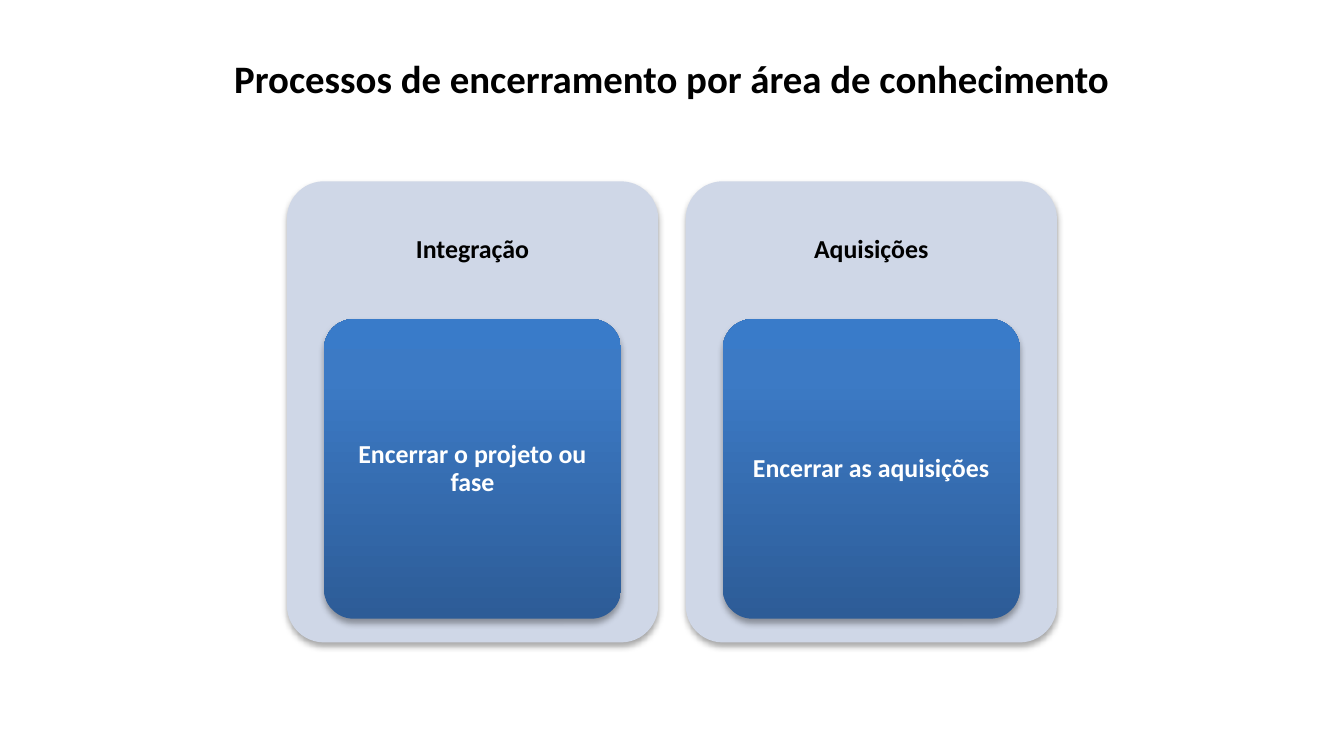
from copy import deepcopy

from lxml.etree import SubElement
from pptx import Presentation
from pptx.dml.color import RGBColor
from pptx.enum.shapes import MSO_SHAPE
from pptx.enum.text import MSO_ANCHOR, PP_ALIGN
from pptx.oxml.ns import qn
from pptx.util import Pt

BLACK = RGBColor(0x00, 0x00, 0x00)
WHITE = RGBColor(0xFF, 0xFF, 0xFF)
PANEL_BLUE = RGBColor(0xCF, 0xD7, 0xE7)
PROCESS_STOPS = [
    (0, RGBColor(0x2D, 0x5C, 0x97)),
    (0.8, RGBColor(0x3C, 0x7A, 0xC5)),
    (1, RGBColor(0x39, 0x7B, 0xC9)),
]

SLIDE_WIDTH, SLIDE_HEIGHT = 622.8, 337.68
PANEL_LEFT, PANEL_TOP, PANEL_WIDTH, PANEL_HEIGHT = 133, 84, 172, 213.6
PANEL_STEP = 184.8
HEADING_HEIGHT = 64
PROCESS_TOP, PROCESS_WIDTH, PROCESS_HEIGHT = 147.8, 137.6, 138.8
PROCESS_INDENT = (PANEL_WIDTH - PROCESS_WIDTH) / 2

AREAS = [
    ("Integração", "Encerrar o projeto ou fase"),
    ("Aquisições", "Encerrar as aquisições"),
]


def write(text, holder, size=12, color=BLACK, margins=(3.6, 3.6),
          anchor=MSO_ANCHOR.MIDDLE, spacing=0.9):
    frame = holder.text_frame
    frame.word_wrap = True
    frame.vertical_anchor = anchor
    frame.margin_left = frame.margin_right = Pt(margins[0])
    frame.margin_top = frame.margin_bottom = Pt(margins[1])
    paragraph = frame.paragraphs[0]
    paragraph.alignment = PP_ALIGN.CENTER
    paragraph.line_spacing = spacing
    run = paragraph.add_run()
    run.text = text
    run.font.name = "Calibri"
    run.font.size = Pt(size)
    run.font.bold = True
    run.font.color.rgb = color


def add_card(left, top, width, height):
    card = slide.shapes.add_shape(MSO_SHAPE.ROUNDED_RECTANGLE,
                                  Pt(left), Pt(top), Pt(width), Pt(height))
    card.adjustments[0] = 0.1
    card.line.fill.background()
    # Soft shadow straight below the card
    card.shadow.inherit = False
    effects = card._element.spPr.find(qn("a:effectLst"))
    shadow = SubElement(effects, qn("a:outerShdw"), blurRad=str(Pt(3.1)),
                        dist=str(Pt(1.8)), dir="5400000", rotWithShape="0")
    shade = SubElement(shadow, qn("a:srgbClr"), val=str(BLACK))
    SubElement(shade, qn("a:alpha"), val="35000")
    return card


presentation = Presentation()
presentation.slide_width = Pt(SLIDE_WIDTH)
presentation.slide_height = Pt(SLIDE_HEIGHT)
slide = presentation.slides.add_slide(presentation.slide_layouts[6])

# Title
title = slide.shapes.add_textbox(Pt(0), Pt(21.6), Pt(SLIDE_WIDTH), Pt(28.8))
write("Processos de encerramento por área de conhecimento", title, size=18,
      margins=(7.2, 3.6), anchor=MSO_ANCHOR.TOP, spacing=1.0)

# One panel per knowledge area, with its closing process inside
for index, (area, process) in enumerate(AREAS):
    left = PANEL_LEFT + index * PANEL_STEP
    panel = add_card(left, PANEL_TOP, PANEL_WIDTH, PANEL_HEIGHT)
    panel.fill.solid()
    panel.fill.fore_color.rgb = PANEL_BLUE

    heading = slide.shapes.add_textbox(Pt(left), Pt(PANEL_TOP),
                                       Pt(PANEL_WIDTH), Pt(HEADING_HEIGHT))
    write(area, heading)

    process_card = add_card(left + PROCESS_INDENT, PROCESS_TOP,
                            PROCESS_WIDTH, PROCESS_HEIGHT)
    process_card.fill.gradient()
    process_card.fill.gradient_angle = 90
    stop_list = process_card._element.spPr.find(qn("a:gradFill")).find(qn("a:gsLst"))
    stop_list.append(deepcopy(stop_list[-1]))
    for stop, (position, color) in zip(process_card.fill.gradient_stops, PROCESS_STOPS):
        stop.position = position
        stop.color.rgb = color
    write(process, process_card, color=WHITE, margins=(2.2, 1.6))

presentation.save("out.pptx")
